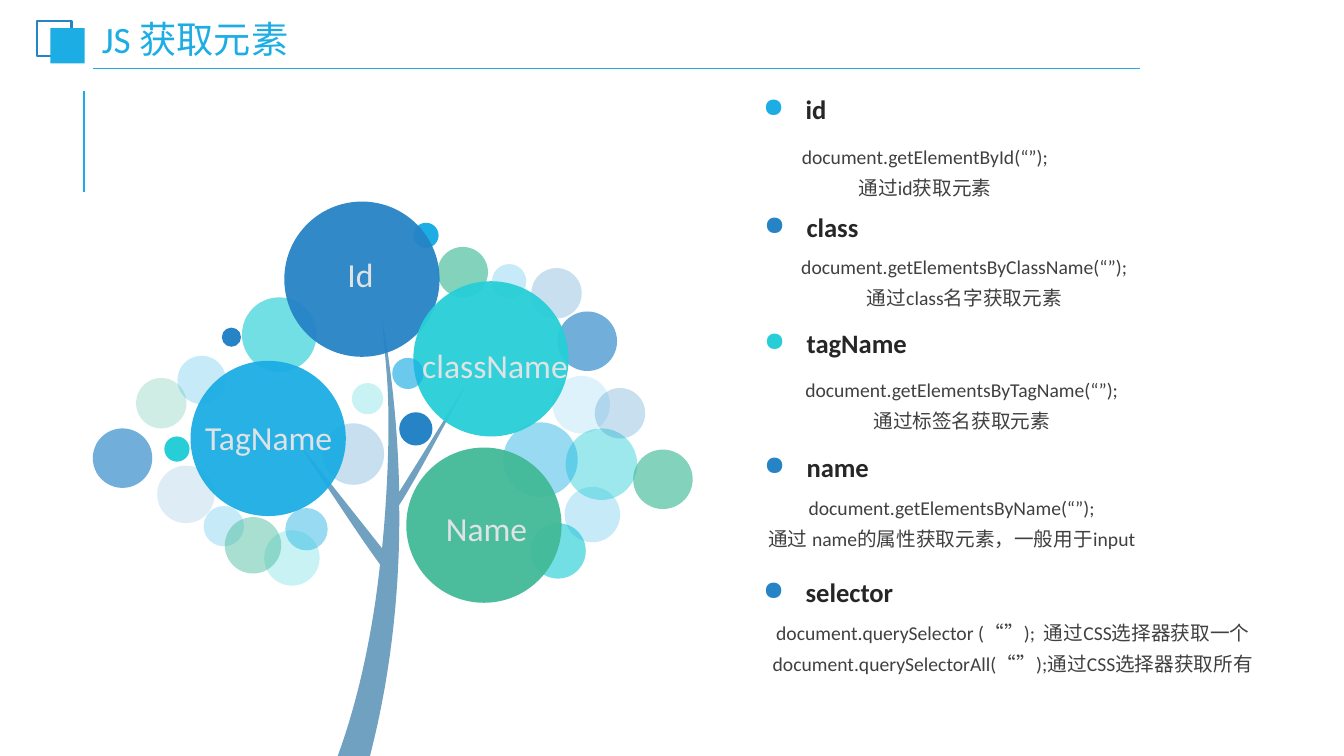
from lxml.etree import SubElement
from pptx import Presentation
from pptx.dml.color import RGBColor
from pptx.enum.shapes import MSO_CONNECTOR, MSO_SHAPE
from pptx.enum.text import MSO_ANCHOR, MSO_AUTO_SIZE, PP_ALIGN
from pptx.oxml.ns import qn
from pptx.util import Inches, Pt

FONT = "Calibri"
COLORS = {
    "sky": "1CADE4", "blue": "2683C6", "teal": "27CED7", "green": "42BA97",
    "trunk": "70A1C0", "label": "DFE3E5", "heading": "262626", "body": "404040",
}

# left, top, diameter, colour, opacity in percent
LEAVES = [
    (2.4, 2.95, 0.74, "teal", 65), (3.2, 4.2, 0.61, "blue", 25),
    (5.26, 5.19, 0.55, "teal", 65), (5.6, 4.83, 0.55, "sky", 25),
    (5.61, 4.25, 0.71, "teal", 45), (3.96, 4.09, 0.33, "blue", 100),
    (2.02, 5.02, 0.4, "sky", 25), (4.1, 2.21, 0.25, "sky", 100),
    (1.63, 4.33, 0.25, "teal", 100), (4.99, 4.19, 0.74, "sky", 45),
    (1.76, 3.53, 0.48, "sky", 25), (2.83, 5.04, 0.42, "sky", 45),
    (2.2, 3.25, 0.19, "blue", 100), (3.49, 3.8, 0.31, "teal", 25),
    (5.48, 3.73, 0.57, "sky", 15), (1.56, 4.62, 0.57, "blue", 15),
    (4.34, 2.45, 0.5, "green", 65), (5.9, 3.85, 0.5, "blue", 25),
    (5.53, 3.09, 0.59, "blue", 65), (1.35, 3.75, 0.5, "green", 25),
    (2.62, 5.26, 0.55, "teal", 25), (2.23, 5.13, 0.56, "green", 45),
    (6.28, 4.46, 0.59, "green", 65), (0.92, 4.25, 0.59, "blue", 65),
    (4.88, 2.62, 0.34, "sky", 25), (5.27, 2.66, 0.5, "blue", 25),
    (2.82, 2, 1.54, "blue", 95), (1.89, 3.58, 1.54, "sky", 95),
    (4.03, 4.44, 1.54, "green", 95), (4.1, 2.79, 1.54, "teal", 95),
    (3.89, 3.55, 0.31, "sky", 65),
]

# one point is a straight edge, three points are a cubic curve
TRUNK_START = (4.62, 3.82)
TRUNK = [
    [(3.96, 4.88)],
    [(3.94, 3.87), (3.79, 3.18), (3.79, 3.18)],
    [(3.83, 3.64)],
    [(3.87, 4.05), (3.86, 4.72), (3.79, 5.44)],
    [(2.95, 4.38)],
    [(2.95, 4.38), (3.54, 5.29), (3.77, 5.6)],
    [(3.7, 6.25), (3.56, 6.93), (3.35, 7.5)],
    [(3.67, 7.5)],
    [(3.9, 6.61), (3.97, 5.73), (3.96, 5.01)],
    [(4.11, 4.79), (4.62, 3.82), (4.62, 3.82)],
]

# text, left, top, width
LABELS = [
    ("TagName", 1.87, 4.09, 1.59), ("Id", 2.78, 2.47, 1.59),
    ("className", 4.03, 3.37, 1.76), ("Name", 4.03, 4.99, 1.59),
]

# heading, bullet colour, heading position, body box, body lines
METHODS = [
    ("id", "sky", (7.4, 0.86), (7.01, 1.37, 4.33),
     ["document.getElementById(“”);", "通过id获取元素"]),
    ("class", "blue", (7.41, 2.03), (7.4, 2.46, 4.33),
     ["document.getElementsByClassName(“”);", "通过class名字获取元素"]),
    ("tagName", "teal", (7.41, 3.18), (6.87, 3.68, 5.34),
     ["document.getElementsByTagName(“”);", "通过标签名获取元素"]),
    ("name", "blue", (7.41, 4.41), (6.77, 4.85, 5.34),
     ["document.getElementsByName(“”);", "通过 name的属性获取元素，一般用于input"]),
    ("selector", "blue", (7.4, 5.65), (7.25, 6.09, 5.59),
     ["document.querySelector (“”);  通过CSS选择器获取一个",
      "document.querySelectorAll(“”);通过CSS选择器获取所有"]),
]


def rgb(name):
    return RGBColor.from_string(COLORS[name])


def add_run(p, text, size, color, bold=False):
    r = p.add_run()
    r.text = text
    r.font.name, r.font.size, r.font.bold = FONT, Pt(size), bold
    r.font.color.rgb = rgb(color)


def set_margins(tf, x, y):
    tf.margin_left = tf.margin_right = Inches(x)
    tf.margin_top = tf.margin_bottom = Inches(y)


def fill_shape(sp, color, opacity=100):
    sp.shadow.inherit = False
    sp.line.fill.background()
    sp.fill.solid()
    sp.fill.fore_color.rgb = rgb(color)
    if opacity < 100:
        clr = sp.fill._xPr.find(qn("a:solidFill"))[0]
        SubElement(clr, qn("a:alpha"), val=str(opacity * 1000))


def add_rule(s, x1, y1, x2, y2, width):
    cn = s.shapes.add_connector(MSO_CONNECTOR.STRAIGHT, Inches(x1), Inches(y1),
                                Inches(x2), Inches(y2))
    cn.line.color.rgb = rgb("sky")
    cn.line.width = Pt(width)
    SubElement(cn._element.spPr, qn("a:effectLst"))


def add_preset(s, kind, x, y, w, h):
    return s.shapes.add_shape(kind, Inches(x), Inches(y), Inches(w), Inches(h))


def add_title(s):
    sp = s.shapes.title
    sp.left, sp.top, sp.width, sp.height = map(Inches, (0.94, 0.23, 3.93, 0.37))
    tf = sp.text_frame
    tf.word_wrap, tf.auto_size = True, MSO_AUTO_SIZE.NONE
    tf.vertical_anchor = MSO_ANCHOR.MIDDLE
    set_margins(tf, 0.07, 0.04)
    p = tf.paragraphs[0]
    p.alignment, p.line_spacing = PP_ALIGN.LEFT, 0.9
    add_run(p, "JS 获取元素", 26.6, "sky")


def add_emblem(s):
    frame = add_preset(s, MSO_SHAPE.RECTANGLE, 0.37, 0.21, 0.34, 0.35)
    frame.shadow.inherit = False
    frame.fill.background()
    frame.line.color.rgb = rgb("blue")
    frame.line.width = Pt(1.5)
    fill_shape(add_preset(s, MSO_SHAPE.RECTANGLE, 0.5, 0.28, 0.34, 0.35), "sky")


def curve_points(start, controls, steps=16):
    """Points along a cubic curve, without its start."""
    pts = [start, *controls]
    for i in range(1, steps + 1):
        t = i / steps
        weights = ((1 - t) ** 3, 3 * t * (1 - t) ** 2, 3 * t * t * (1 - t), t ** 3)
        yield tuple(sum(w * pt[axis] for w, pt in zip(weights, pts)) for axis in (0, 1))


def add_trunk(s):
    outline = [TRUNK_START]
    for seg in TRUNK:
        outline += seg if len(seg) == 1 else list(curve_points(outline[-1], seg))
    points = [(Inches(x), Inches(y)) for x, y in outline]
    fb = s.shapes.build_freeform(*points[0])
    fb.add_line_segments(points[1:], close=True)
    fill_shape(fb.convert_to_shape(), "trunk")


def add_text_frame(s, x, y, w, h):
    tf = s.shapes.add_textbox(Inches(x), Inches(y), Inches(w), Inches(h)).text_frame
    tf.word_wrap = True
    return tf


def add_label(s, text, x, y, w):
    tf = add_text_frame(s, x, y, w, 0.5)
    tf.auto_size = MSO_AUTO_SIZE.SHAPE_TO_FIT_TEXT
    p = tf.paragraphs[0]
    p.alignment = PP_ALIGN.CENTER
    add_run(p, text, 24, "label")


def add_heading(s, text, bullet_color, x, y):
    tf = add_text_frame(s, x, y, 3.74, 0.42)
    set_margins(tf, 0.17, 0)
    p = tf.paragraphs[0]
    p.line_spacing = 1.2
    pPr = p._p.get_or_add_pPr()
    pPr.set("marL", str(Inches(0.42)))
    pPr.set("indent", str(-Inches(0.42)))
    clr = SubElement(pPr, qn("a:buClr"))
    SubElement(clr, qn("a:srgbClr"), val=COLORS[bullet_color])
    SubElement(pPr, qn("a:buChar"), char="●")
    add_run(p, text, 19, "heading", bold=True)


def add_body(s, lines, x, y, w):
    tf = add_text_frame(s, x, y, w, 0.82)
    set_margins(tf, 0.17, 0)
    for i, line in enumerate(lines):
        p = tf.add_paragraph() if i else tf.paragraphs[0]
        p.alignment, p.line_spacing = PP_ALIGN.CENTER, 1.3
        add_run(p, line, 14, "body")


def main():
    prs = Presentation()
    prs.slide_width, prs.slide_height = Inches(13.33), Inches(7.5)
    s = prs.slides.add_slide(prs.slide_layouts[5])
    add_title(s)
    add_rule(s, 0.83, 1.9, 0.83, 0.9, 1.5)
    add_rule(s, 0.92, 0.68, 11.31, 0.68, 1.25)
    add_emblem(s)
    add_trunk(s)
    for x, y, d, color, opacity in LEAVES:
        fill_shape(add_preset(s, MSO_SHAPE.OVAL, x, y, d, d), color, opacity)
    for label in LABELS:
        add_label(s, *label)
    for heading, color, heading_at, body_at, lines in METHODS:
        add_heading(s, heading, color, *heading_at)
        add_body(s, lines, *body_at)
    prs.save("out.pptx")


if __name__ == "__main__":
    main()
